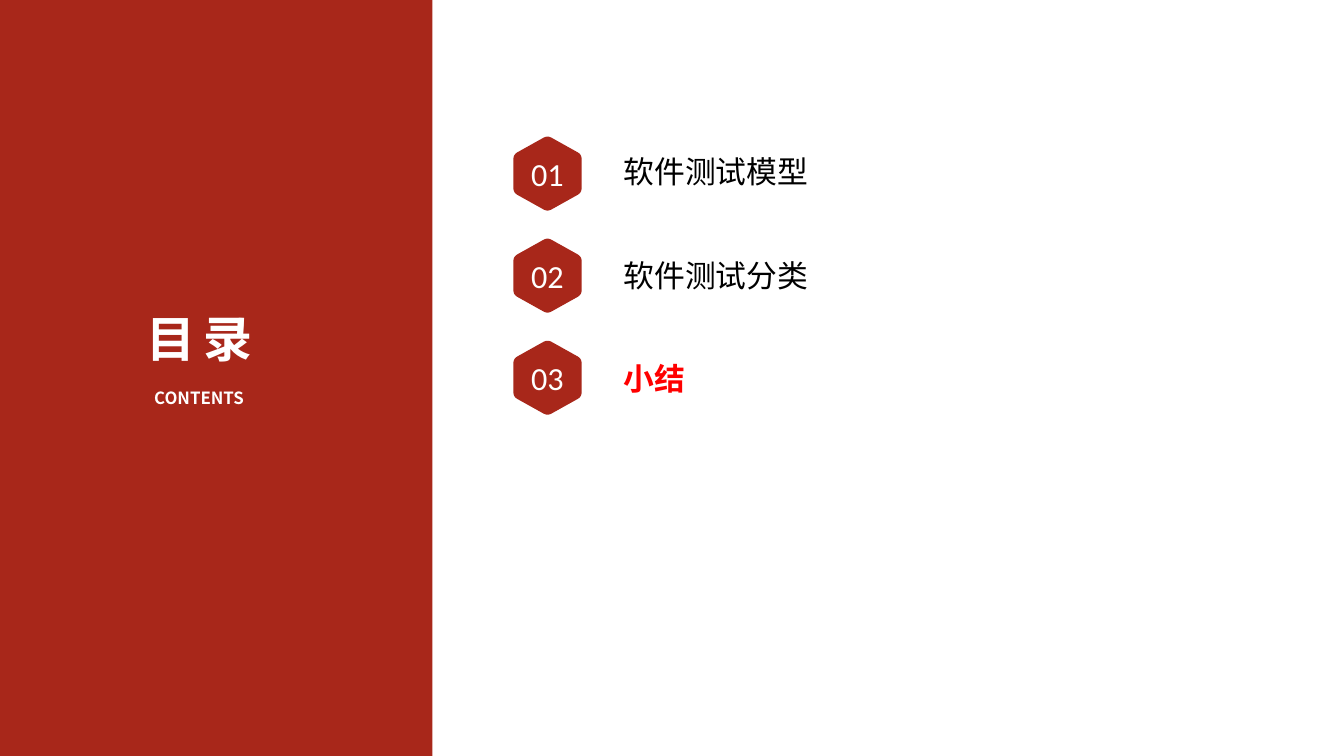
from lxml import etree
from pptx import Presentation
from pptx.dml.color import RGBColor
from pptx.enum.shapes import MSO_SHAPE
from pptx.enum.text import MSO_ANCHOR, MSO_AUTO_SIZE, PP_ALIGN
from pptx.oxml.ns import qn
from pptx.util import Pt

LEFT, CENTER = PP_ALIGN.LEFT, PP_ALIGN.CENTER
TOP, MIDDLE = MSO_ANCHOR.TOP, MSO_ANCHOR.MIDDLE
NO_FIT = MSO_AUTO_SIZE.NONE
RECTANGLE = MSO_SHAPE.RECTANGLE
TITLE_ONLY = 5

COLORS = {"brick": "A8271A", "white": "FFFFFF", "black": "000000", "red": "FF0000"}
CJK, LATIN = "Noto Sans CJK SC", "Calibri"

CHAPTERS = [
    ("01", "软件测试模型", False),
    ("02", "软件测试分类", False),
    ("03", "小结", True),
]
BADGE_PITCH, CAPTION_PITCH = 145.8, 148


def fill_plain(shape, color):
    shape.fill.solid()
    shape.fill.fore_color.rgb = RGBColor.from_string(COLORS[color])
    shape.line.fill.background()
    shape.shadow.inherit = False


def write(shape, text, size, font, color, bold=False, align=LEFT, anchor=TOP, spacing=0):
    """Fill a shape with one formatted paragraph; spacing is tracking in points."""
    frame = shape.text_frame
    frame.text = text
    frame.word_wrap = True
    frame.auto_size = NO_FIT
    frame.vertical_anchor = anchor
    frame.margin_left = frame.margin_right = Pt(3.6)
    frame.margin_top = frame.margin_bottom = Pt(3.6)
    paragraph = frame.paragraphs[0]
    paragraph.alignment = align
    style = paragraph.font
    style.size, style.bold = Pt(size), bold
    style.color.rgb = RGBColor.from_string(COLORS[color])
    style.name = font
    properties = paragraph._p.pPr.find(qn("a:defRPr"))
    etree.SubElement(properties, qn("a:ea"), typeface=font)
    if spacing:
        properties.set("spc", str(round(spacing * 100)))


def add_text(slide, left, top, width, height, *args, **kwargs):
    box = slide.shapes.add_textbox(Pt(left), Pt(top), Pt(width), Pt(height))
    write(box, *args, **kwargs)


def add_hexagon(slide, center_x, center_y, half_width=48.75, half_height=54.4, cut=6.5):
    """Draw an upright hexagon whose corners are rounded from cut points on each side."""
    shoulder = half_height / 2
    corners = [(0, -half_height), (half_width, -shoulder), (half_width, shoulder),
               (0, half_height), (-half_width, shoulder), (-half_width, -shoulder)]

    def toward(start, end):
        dx, dy = end[0] - start[0], end[1] - start[1]
        share = cut / (dx * dx + dy * dy) ** 0.5
        return start[0] + dx * share, start[1] + dy * share

    outline = []
    for i, corner in enumerate(corners):
        entry = toward(corner, corners[i - 1])
        leave = toward(corner, corners[(i + 1) % 6])
        for t in (0, 0.2, 0.4, 0.6, 0.8, 1):
            x, y = ((1 - t) ** 2 * a + 2 * t * (1 - t) * b + t * t * c
                    for a, b, c in zip(entry, corner, leave))
            outline.append((Pt(center_x + x), Pt(center_y + y)))
    builder = slide.shapes.build_freeform(*outline[0])
    builder.add_line_segments(outline[1:], close=True)
    fill_plain(builder.convert_to_shape(), "brick")


def add_contents_panel(slide, left, top, width, height):
    panel = slide.shapes.add_shape(RECTANGLE, Pt(left), Pt(top), Pt(width), Pt(height))
    fill_plain(panel, "brick")
    title = slide.shapes.title
    title._element.addprevious(panel._element)
    title.left, title.top = Pt(left + 80.6), Pt(top + 437.8)
    title.width, title.height = Pt(409), Pt(205)
    write(title, "目录", 70, CJK, "white", bold=True, align=CENTER, spacing=11.7)
    add_text(slide, left + 134.6, top + 550, 299.5, 71.3,
             "CONTENTS", 24, CJK, "white", bold=True, align=CENTER)


def add_chapter_list(slide, left, top):
    for row, (number, caption, current) in enumerate(CHAPTERS):
        badge_middle = top + 53 + row * BADGE_PITCH
        add_hexagon(slide, left + 63, badge_middle)
        add_text(slide, left, badge_middle - 37.8, 125.4, 75.6,
                 number, 46, LATIN, "white", align=CENTER, anchor=MIDDLE)
        add_text(slide, left + 167.8, top + 19.6 + row * CAPTION_PITCH, 301, 58,
                 caption, 44, CJK, "red" if current else "black", bold=current)


def main():
    deck = Presentation()
    deck.slide_width, deck.slide_height = Pt(1920), Pt(1080)
    slide = deck.slides.add_slide(deck.slide_layouts[TITLE_ONLY])
    add_contents_panel(slide, 0, 0, 617.8, 1080)
    add_chapter_list(slide, 719.2, 195)
    deck.save("out.pptx")


if __name__ == "__main__":
    main()
